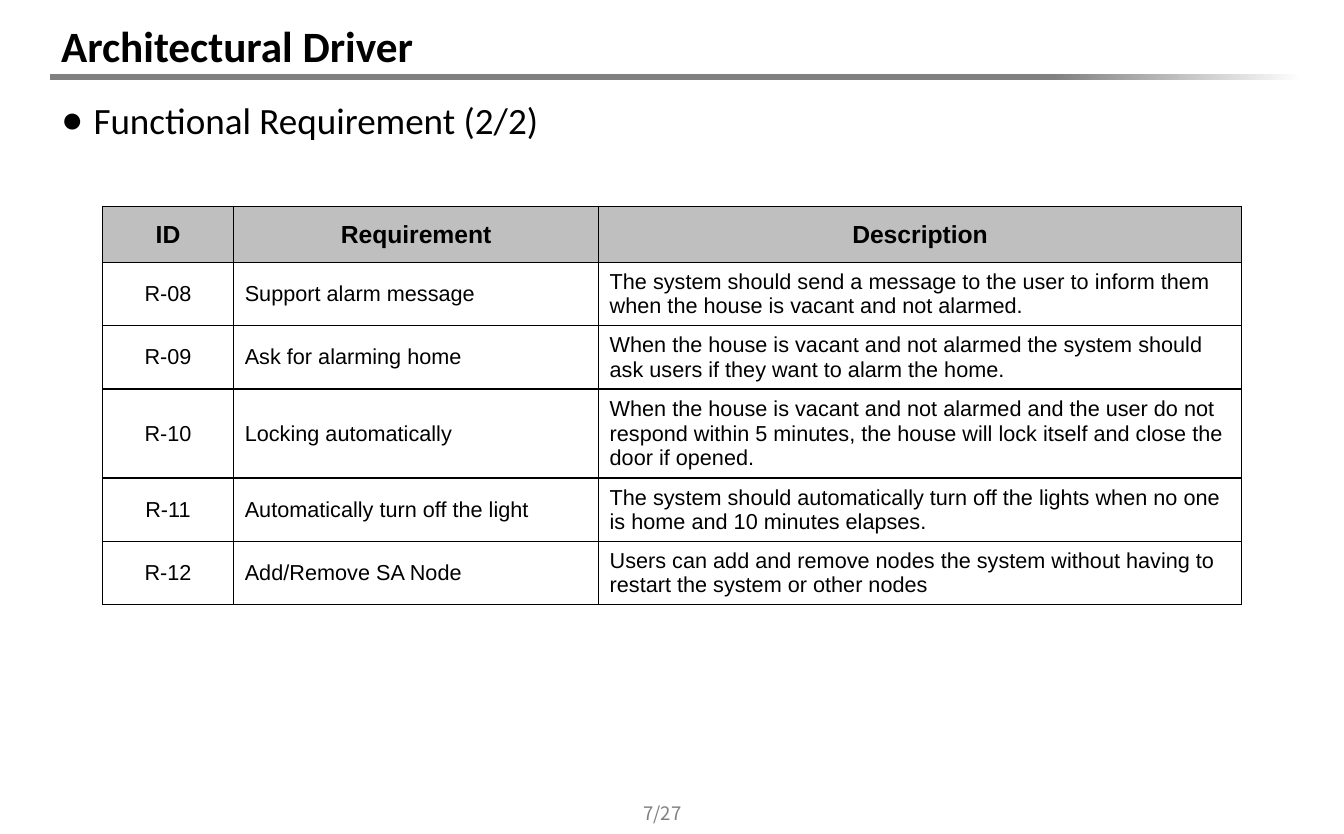
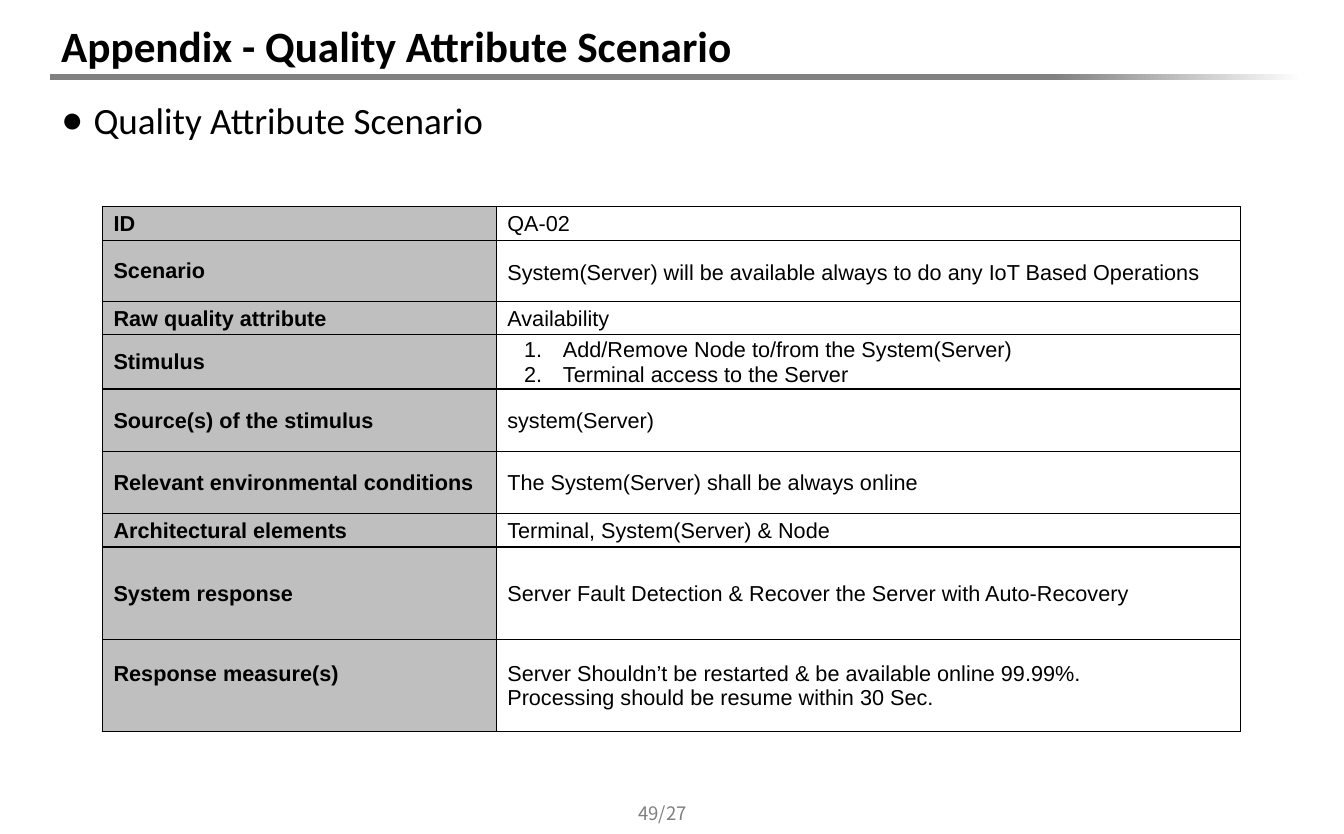
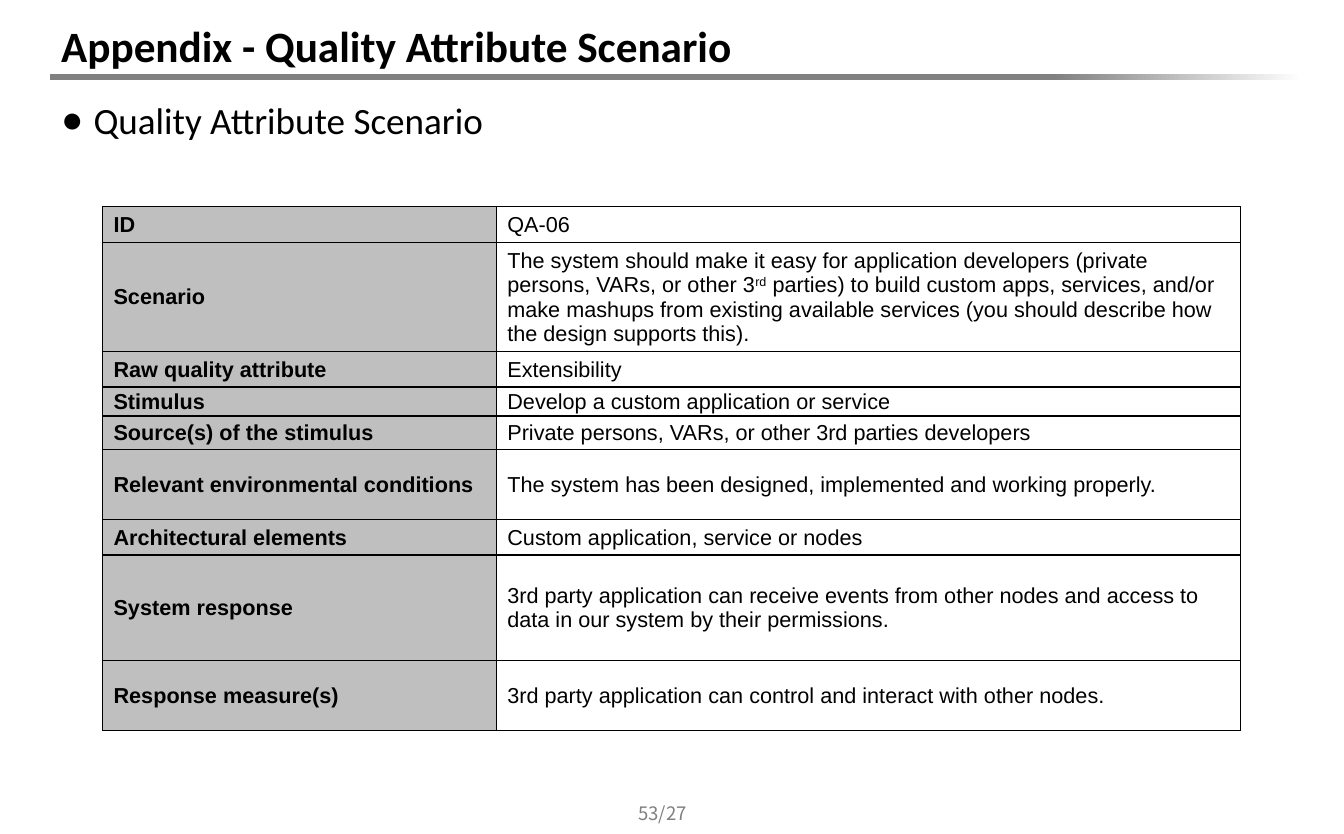
"""Three requirement slides: a shared heading layout with one table each."""
from copy import deepcopy

from lxml import etree
from pptx import Presentation
from pptx import util as u
from pptx.dml.color import RGBColor
from pptx.enum import shapes, text
from pptx.oxml.ns import qn

BLACK = RGBColor(0x00, 0x00, 0x00)
WHITE = RGBColor(0xFF, 0xFF, 0xFF)
GREY = RGBColor(0x80, 0x80, 0x80)
HEAD = RGBColor(0xBF, 0xBF, 0xBF)

TITLE = {"name": "Calibri", "size": u.Pt(28), "bold": True}
BODY = {"name": "Calibri", "size": u.Pt(24), "bold": False}
PAGE = {"name": "Noto Sans CJK KR", "size": u.Pt(12), "bold": False}
COLUMN_HEAD = {"name": "Arial", "size": u.Pt(16), "bold": True}
ROW_HEAD = {"name": "Arial", "size": u.Pt(14), "bold": True}
CELL = {"name": "Arial", "size": u.Pt(14), "bold": False}

prs = Presentation()
prs.slide_width, prs.slide_height = u.Inches(12.08), u.Inches(7.5)
X, Y = prs.slide_width / 100, prs.slide_height / 100


def box(left, top, width, height):
    """Turn percentages of the slide into lengths."""
    return [round(v) for v in (left * X, top * Y, width * X, height * Y)]


def write(p, line, fmt, color=BLACK):
    """Fill a paragraph; text between carets is superscript."""
    for i, part in enumerate(line.split("^")):
        r = p.add_run()
        r.text = part
        for key, value in fmt.items():
            setattr(r.font, key, value)
        r.font.color.rgb = color
        if i % 2:
            r.font._element.set("baseline", "30000")


LABELS = ["ID", "Scenario", "Raw quality attribute", "Stimulus", "Source(s) of the stimulus",
          "Relevant environmental conditions", "Architectural elements", "System response",
          "Response measure(s)"]
SERVER = ["QA-02",
          "System(Server) will be available always to do any IoT Based Operations",
          "Availability",
          "Add/Remove Node to/from the System(Server)\nTerminal access to the Server",
          "system(Server)",
          "The System(Server) shall be always online",
          "Terminal, System(Server) & Node",
          "Server Fault Detection & Recover the Server with Auto-Recovery",
          "Server Shouldn’t be restarted & be available online 99.99%.\n"
          "Processing should be resume within 30 Sec."]
EXTENSION = ["QA-06",
             "The system should make it easy for application developers (private persons, VARs, "
             "or other 3^rd^ parties) to build custom apps, services, and/or make mashups from "
             "existing available services (you should describe how the design supports this).",
             "Extensibility",
             "Develop a custom application or service",
             "Private persons, VARs, or other 3rd parties developers",
             "The system has been designed, implemented and working properly.",
             "Custom application, service or nodes",
             "3rd party application can receive events from other nodes and access to data in our "
             "system by their permissions.",
             "3rd party application can control and interact with other nodes."]
REQUIREMENTS = [
    ("ID", "Requirement", "Description"),
    ("R-08", "Support alarm message",
     "The system should send a message to the user to inform them when the house is vacant and "
     "not alarmed."),
    ("R-09", "Ask for alarming home",
     "When the house is vacant and not alarmed the system should ask users if they want to alarm "
     "the home."),
    ("R-10", "Locking automatically",
     "When the house is vacant and not alarmed and the user do not respond within 5 minutes, the "
     "house will lock itself and close the door if opened."),
    ("R-11", "Automatically turn off the light",
     "The system should automatically turn off the lights when no one is home and 10 minutes "
     "elapses."),
    ("R-12", "Add/Remove SA Node",
     "Users can add and remove nodes the system without having to restart the system or other "
     "nodes"),
]
SCENARIO = {"title": "Appendix - Quality Attribute Scenario", "body": "Quality Attribute Scenario",
            "cols": [29.3, 55.4], "column_heads": False, "margins": (0.01, 0)}
SLIDES = [
    {"title": "Architectural Driver", "body": "Functional Requirement (2/2)", "page": "7/27",
     "cols": [9.77, 27.15, 47.85], "column_heads": True, "margins": (0.05, 0.05),
     "heights": [6.67, 7.6, 7.6, 10.67, 7.6, 7.6], "rows": REQUIREMENTS},
    {**SCENARIO, "page": "49/27", "rows": list(zip(LABELS, SERVER)),
     "heights": [4, 7.33, 4, 6.53, 7.47, 7.47, 4, 11.07, 11.07],
     "spacing": {(1, 1): 1.15}, "numbered": {(3, 1)}, "raised": {(8, 0): 0.22}},
    {**SCENARIO, "page": "53/27", "rows": list(zip(LABELS, EXTENSION)),
     "heights": [4.27, 13.07, 4.27, 3.47, 4, 8.4, 4.27, 12.67, 8.4]},
]

layout = prs.slide_layouts[1]
for ph, place in zip(layout.placeholders, [(3.73, 1.87, 93.21, 7.2), (3.73, 11.07, 93.21, 84.27)]):
    ph.left, ph.top, ph.width, ph.height = box(*place)

for n, page in enumerate(SLIDES):
    s = prs.slides.add_slide(layout)

    if n == 0:
        for i, place in enumerate([(3.73, 8.93, 93.21, 0.67), (3.73, 1.6, 93.87, 7.33)]):
            sp = s.shapes.add_shape(shapes.MSO_SHAPE.FLOWCHART_PROCESS, *box(*place))
            sp.shadow.inherit = False
            sp.line.fill.background()
            if i == 0:
                sp.fill.gradient()
                sp.fill.gradient_angle = 0
                stops = sp._element.spPr.find(".//" + qn("a:gsLst"))
                stops.append(deepcopy(stops[0]))
                for stop, position, color in zip(sp.fill.gradient_stops, (0, 0.8, 1),
                                                 (GREY, GREY, WHITE)):
                    stop.position, stop.color.rgb = position, color
            else:
                sp.fill.solid()
                sp.fill.fore_color.rgb = WHITE
            layout.shapes._spTree.insert(2 + i, sp._element)

    tf = s.shapes.title.text_frame
    tf.vertical_anchor = text.MSO_ANCHOR.MIDDLE
    tf.auto_size = text.MSO_AUTO_SIZE.NONE
    tf.paragraphs[0].alignment = text.PP_ALIGN.LEFT
    write(tf.paragraphs[0], page["title"], TITLE)

    tf = s.placeholders[1].text_frame
    tf.auto_size = text.MSO_AUTO_SIZE.NONE
    p = tf.paragraphs[0]
    pPr = p._p.get_or_add_pPr()
    pPr.set("marL", str(u.Inches(0.29)))
    pPr.set("indent", str(-u.Inches(0.29)))
    etree.SubElement(pPr, qn("a:buChar")).set("char", "●")
    write(p, page["body"], BODY)

    rows, cols, heights = page["rows"], page["cols"], page["heights"]
    tbl = s.shapes.add_table(len(rows), len(cols),
                             *box(7.62, 24.8, sum(cols), sum(heights))).table
    tbl.first_row = tbl.horz_banding = False
    for column, width in zip(tbl.columns, cols):
        column.width = round(width * X)
    for row, height in zip(tbl.rows, heights):
        row.height = round(height * Y)
    for i, row in enumerate(rows):
        for j, value in enumerate(row):
            cell = tbl.cell(i, j)
            is_head = i == 0 if page["column_heads"] else j == 0
            fmt = CELL
            if is_head:
                fmt = COLUMN_HEAD if page["column_heads"] else ROW_HEAD
            cell.vertical_anchor = text.MSO_ANCHOR.MIDDLE
            cell.margin_left = cell.margin_right = u.Inches(0.1)
            cell.margin_top = u.Inches(page["margins"][0])
            cell.margin_bottom = u.Inches(page.get("raised", {}).get((i, j), page["margins"][1]))
            for side in ("a:lnL", "a:lnR", "a:lnT", "a:lnB"):
                ln = etree.SubElement(cell._tc.get_or_add_tcPr(), qn(side), w=str(u.Pt(1)))
                fill = etree.SubElement(ln, qn("a:solidFill"))
                etree.SubElement(fill, qn("a:srgbClr"), val=str(BLACK))
            cell.fill.solid()
            cell.fill.fore_color.rgb = HEAD if is_head else WHITE
            tf = cell.text_frame
            for k, line in enumerate(value.split("\n")):
                p = tf.add_paragraph() if k else tf.paragraphs[0]
                if page["column_heads"] and (is_head or j == 0):
                    p.alignment = text.PP_ALIGN.CENTER
                if (i, j) in page.get("spacing", {}):
                    p.line_spacing = page["spacing"][i, j]
                if (i, j) in page.get("numbered", ()):
                    pPr = p._p.get_or_add_pPr()
                    pPr.set("marL", str(u.Inches(0.5)))
                    pPr.set("indent", str(-u.Inches(0.35)))
                    etree.SubElement(pPr, qn("a:buAutoNum")).set("type", "arabicPeriod")
                write(p, line, fmt)

    tf = s.shapes.add_textbox(*box(44.78, 95.87, 9.02, 3.2)).text_frame
    tf.word_wrap = True
    tf.vertical_anchor = text.MSO_ANCHOR.MIDDLE
    tf.margin_top = tf.margin_bottom = 0
    tf.paragraphs[0].alignment = text.PP_ALIGN.CENTER
    write(tf.paragraphs[0], page["page"], PAGE, GREY)

prs.save("out.pptx")
